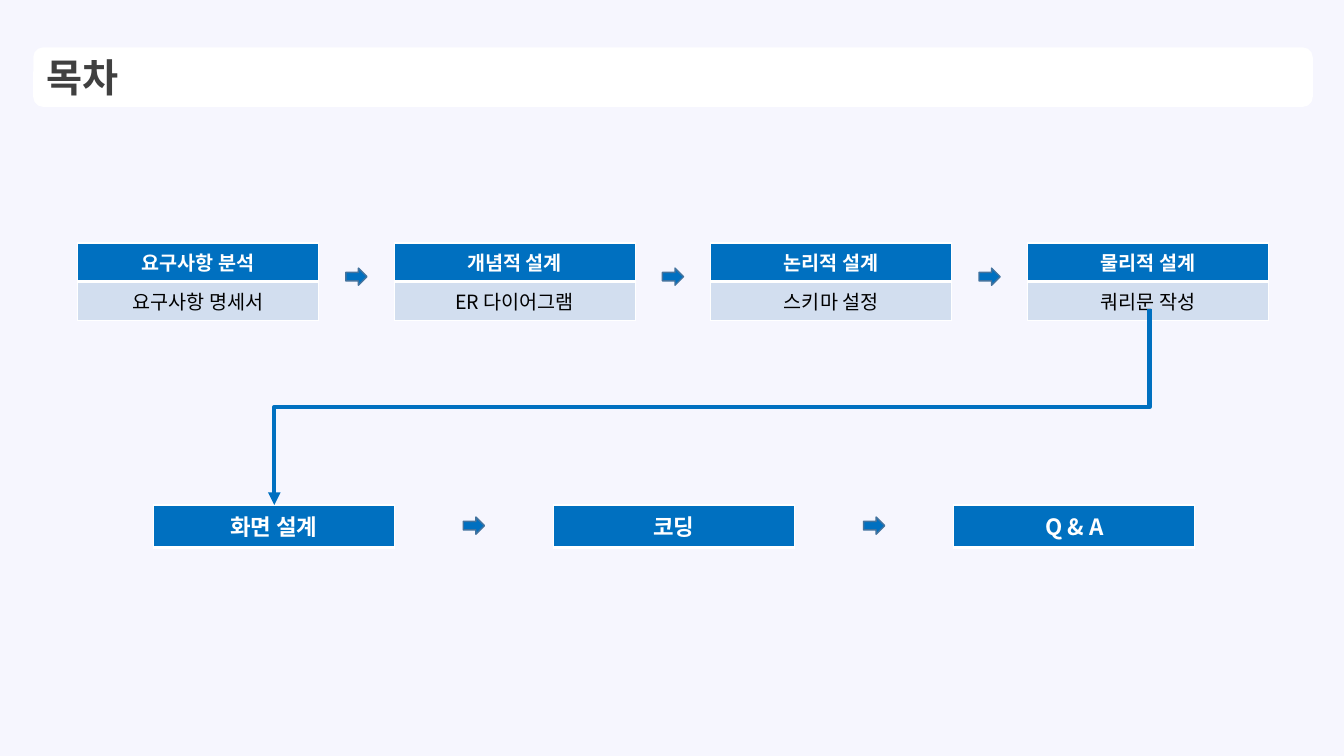
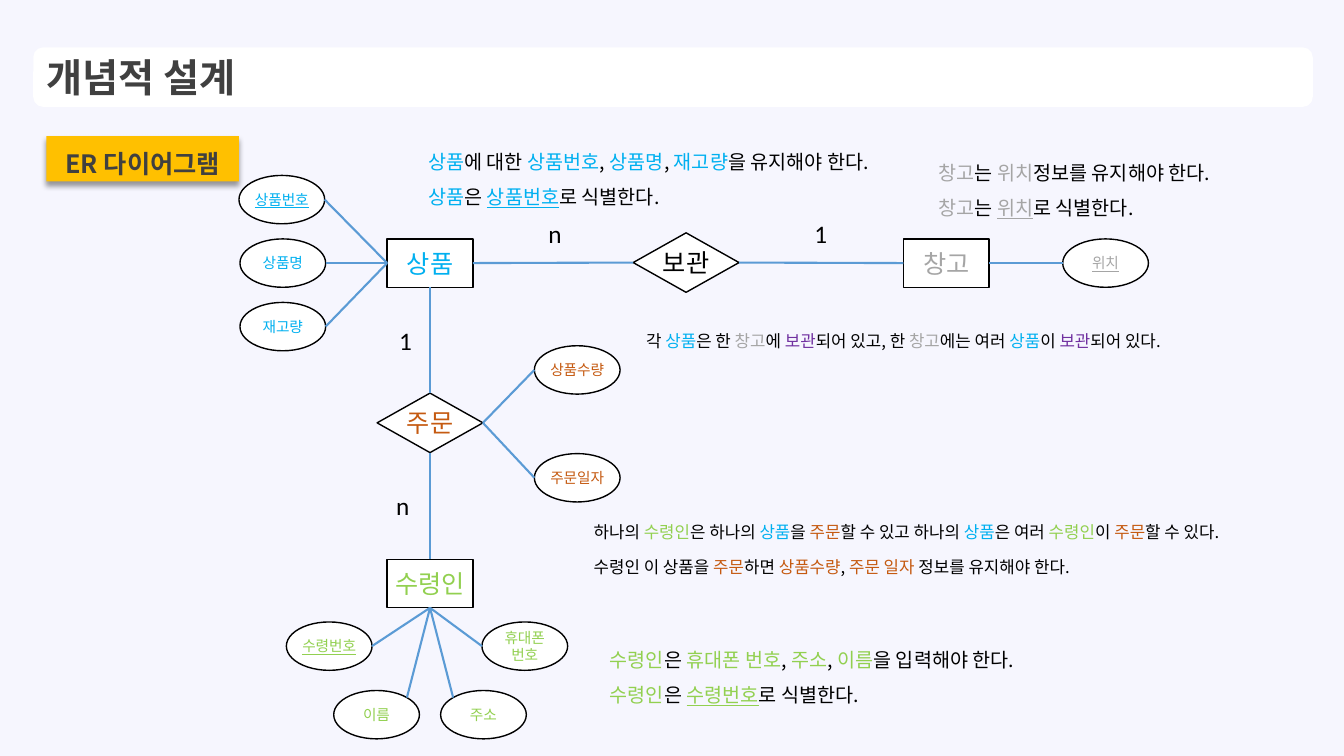
import lxml.etree
import pptx
import pptx.dml.color
import pptx.enum.shapes
import pptx.enum.text
import pptx.oxml
import pptx.oxml.ns
import pptx.util

Inches = pptx.util.Inches
Pt = pptx.util.Pt
SHAPE = pptx.enum.shapes.MSO_SHAPE
CONNECTOR = pptx.enum.shapes.MSO_CONNECTOR
ANCHOR = pptx.enum.text.MSO_ANCHOR
ALIGN = pptx.enum.text.PP_ALIGN
qn = pptx.oxml.ns.qn

KOREAN, LATIN = "Noto Sans CJK KR", "Calibri"
BACKGROUND, WHITE, BLACK, DARK = "F6F6FE", "FFFFFF", "000000", "404040"
BLUE, PALE_BLUE, ARROW_EDGE, LINK = "0070C0", "D2DEEF", "43739E", "5B9BD5"
AMBER = "FFC000"

TERM_GROUPS = {
    "00B0F0": ["상품", "상품번호", "상품명", "재고량"],
    "A5A5A5": ["창고", "위치"],
    "7030A0": ["보관"],
    "C55A11": ["주문", "상품수량", "주문일자", "주문 일자"],
    "92D050": ["수령인", "수령번호", "휴대폰 번호", "주소", "이름"],
}
TERM_COLOURS = {term: colour for colour, terms in TERM_GROUPS.items() for term in terms}

BOX_WIDTH = 2.39
STEPS = [["요구사항 분석", "요구사항 명세서"], ["개념적 설계", "ER 다이어그램"],
         ["논리적 설계", "스키마 설정"], ["물리적 설계", "쿼리문 작성"]]
LAST_STEPS = [["화면 설계"], ["코딩"], ["Q & A"]]

NODE_SIZES = {SHAPE.RECTANGLE: (0.85, 0.48, 18), SHAPE.OVAL: (0.85, 0.48, 10.5),
              SHAPE.DIAMOND: (1.05, 0.59, 18)}
SITES = {"left": (0, 0.5), "right": (1, 0.5), "top": (0.5, 0), "bottom": (0.5, 1),
         "top left": (0.146, 0.146), "top right": (0.854, 0.146)}

# Label, kind, left, top
NODES = [
    ("상품", SHAPE.RECTANGLE, 3.84, 2.37), ("창고", SHAPE.RECTANGLE, 8.96, 2.37),
    ("수령인", SHAPE.RECTANGLE, 3.84, 5.55), ("상품번호", SHAPE.OVAL, 2.37, 1.74),
    ("상품명", SHAPE.OVAL, 2.38, 2.37), ("재고량", SHAPE.OVAL, 2.38, 3),
    ("위치", SHAPE.OVAL, 10.54, 2.37), ("보관", SHAPE.DIAMOND, 6.28, 2.31),
    ("주문", SHAPE.DIAMOND, 3.74, 3.9), ("상품수량", SHAPE.OVAL, 5.3, 3.43),
    ("주문일자", SHAPE.OVAL, 5.3, 4.5), ("수령번호", SHAPE.OVAL, 2.84, 6.17),
    ("휴대폰\n번호", SHAPE.OVAL, 4.78, 6.17), ("주소", SHAPE.OVAL, 4.37, 6.85),
    ("이름", SHAPE.OVAL, 3.31, 6.85),
]
KEYS = {"상품번호", "위치", "수령번호"}
LINKS = [
    ("상품번호", "right", "상품", "left"), ("상품명", "right", "상품", "left"),
    ("재고량", "right", "상품", "left"), ("상품", "right", "보관", "left"),
    ("보관", "right", "창고", "left"), ("창고", "right", "위치", "left"),
    ("주문", "top", "상품", "bottom"), ("수령인", "top", "주문", "bottom"),
    ("주문", "right", "상품수량", "left"), ("주문", "right", "주문일자", "left"),
    ("수령번호", "right", "수령인", "bottom"), ("이름", "top right", "수령인", "bottom"),
    ("주소", "top left", "수령인", "bottom"), ("휴대폰\n번호", "left", "수령인", "bottom"),
]
CARDINALITIES = [("1", 3.86, 3.18), ("n", 3.83, 4.82), ("1", 7.98, 2.12), ("n", 5.34, 2.12)]

# Place, size, line spacing, lines; [term] takes its colour, [_term] is also underlined
NOTES = [
    ((5.95, 6.26, 4.59, 0.77), 14, 1.5,
     ["[수령인]은 [휴대폰 번호], [주소], [이름]을 입력해야 한다.",
      "[수령인]은 [_수령번호]로 식별한다."]),
    ((4.15, 1.32, 5, 0.76), 14, 1.5,
     ["[상품]에 대한 [상품번호], [상품명], [재고량]을 유지해야 한다.",
      "[상품]은 [_상품번호]로 식별한다."]),
    ((5.79, 4.98, 7.14, 0.75), 12, Pt(25),
     ["하나의 [수령인]은 하나의 [상품]을 [주문]할 수 있고 하나의 [상품]은 여러 [수령인]이 [주문]할 수 있다.",
      "수령인 이 상품을 [주문]하면 [상품수량], [주문 일자] 정보를 유지해야 한다."]),
    ((9.21, 1.43, 3.19, 0.77), 14, Pt(25),
     ["[창고]는 [위치]정보를 유지해야 한다.", "[창고]는 [_위치]로 식별한다."]),
    ((6.31, 3.08, 5.91, 0.41), 12, Pt(25),
     ["각 [상품]은 한 [창고]에 [보관]되어 있고, 한 [창고]에는 여러 [상품]이 [보관]되어 있다."]),
]


def rgb(colour):
    """Turn a hex string into a colour value."""
    return pptx.dml.color.RGBColor.from_string(colour)


def style(para, size, colour, name=KOREAN, bold=False, underline=False, align=ALIGN.CENTER):
    """Set the alignment and the font of a whole paragraph."""
    para.alignment = align
    font = para.font
    font.size, font.name, font.bold = Pt(size), name, bold
    font.underline = underline
    font.color.rgb = rgb(colour)
    properties = para._p.get_or_add_pPr().find(qn("a:defRPr"))
    lxml.etree.SubElement(properties, qn("a:ea")).set("typeface", KOREAN)


def add_box(page, kind, place, fill, text="", line=None, margins=None, **font):
    """Add a filled preset shape with text set in the middle."""
    box = page.shapes.add_shape(kind, *map(Inches, place))
    box.shadow.inherit = False
    box.fill.solid()
    box.fill.fore_color.rgb = rgb(fill)
    if line:
        box.line.color.rgb = rgb(line)
        box.line.width = Pt(1)
    else:
        box.line.fill.background()
    frame = box.text_frame
    frame.vertical_anchor = ANCHOR.MIDDLE
    if margins:
        (frame.margin_left, frame.margin_top,
         frame.margin_right, frame.margin_bottom) = map(Inches, margins)
    if text:
        frame.text = text
        for para in frame.paragraphs:
            style(para, **font)
    return box


def add_page(deck):
    """Add a blank page with the shared background."""
    page = deck.slides.add_slide(deck.slide_layouts[6])
    page.background.fill.solid()
    page.background.fill.fore_color.rgb = rgb(BACKGROUND)
    return page


def add_title(page, text):
    """Add the white title band."""
    add_box(page, SHAPE.ROUNDED_RECTANGLE, (0.33, 0.47, 12.69, 0.59), WHITE, text,
            size=28, colour=DARK, bold=True, align=ALIGN.LEFT)


def add_border(cell, side, width):
    """Draw one white edge of a table cell."""
    edge = pptx.oxml.parse_xml(
        f'<a:{side} {pptx.oxml.ns.nsdecls("a")} w="{Pt(width)}"><a:solidFill>'
        f'<a:srgbClr val="{WHITE}"/></a:solidFill></a:{side}>')
    properties = cell._tc.get_or_add_tcPr()
    properties.insert(["lnL", "lnR", "lnT", "lnB"].index(side), edge)


def add_step(page, left, top, height, texts, size):
    """Add a one-column table: a blue heading and an optional pale row."""
    table = page.shapes.add_table(len(texts), 1, Inches(left), Inches(top),
                                  Inches(BOX_WIDTH), Inches(height)).table
    for row, text in enumerate(texts):
        cell = table.cell(row, 0)
        heading = row == 0
        cell.text = text
        style(cell.text_frame.paragraphs[0], size, WHITE if heading else BLACK, bold=heading)
        cell.fill.solid()
        cell.fill.fore_color.rgb = rgb(BLUE if heading else PALE_BLUE)
        for side in ("lnL", "lnR", "lnT", "lnB"):
            thick = (side == "lnB") if heading else (side == "lnT")
            add_border(cell, side, 3 if thick else 1)


def add_step_row(page, steps, left, pitch, top, height, size, arrow_top):
    """Add equally spaced steps with an arrow in the middle of each gap."""
    width = 0.21
    for index, texts in enumerate(steps):
        start = left + index * pitch
        add_step(page, start, top, height, texts, size)
        if index:
            middle = start - (pitch - BOX_WIDTH) / 2
            add_box(page, SHAPE.RIGHT_ARROW, (middle - width / 2, arrow_top, width, 0.17),
                    BLUE, line=ARROW_EDGE)


def add_line(page, kind, begin, end, colour, width):
    """Add a connector without a shadow."""
    line = page.shapes.add_connector(kind, *map(Inches, (*begin, *end)))
    line.line.color.rgb = rgb(colour)
    line.line.width = Pt(width)
    lxml.etree.SubElement(line._element.spPr, qn("a:effectLst"))
    return line


def add_return_arrow(page, begin, end):
    """Add an elbow arrow that goes down, across and down again."""
    middle_x, middle_y = (begin[0] + end[0]) / 2, (begin[1] + end[1]) / 2
    half_drop, half_run = (end[1] - begin[1]) / 2, (begin[0] - end[0]) / 2
    arrow = add_line(page, CONNECTOR.ELBOW, (middle_x - half_drop, middle_y - half_run),
                     (middle_x + half_drop, middle_y + half_run), BLUE, 3)
    arrow._element.spPr.find(qn("a:xfrm")).set("rot", str(90 * 60000))
    outline = arrow.line._get_or_add_ln()
    lxml.etree.SubElement(outline, qn("a:tailEnd")).set("type", "triangle")


def add_node(page, label, kind, left, top):
    """Add an entity, relation or attribute and return its place."""
    width, height, size = NODE_SIZES[kind]
    place = (left, top, width, height)
    colour = BLACK if label == "보관" else TERM_COLOURS[label.replace("\n", " ")]
    add_box(page, kind, place, WHITE, label, BLACK, (0, 0, 0, 0), size=size, colour=colour,
            name=KOREAN if label == "수령인" else LATIN, underline=label in KEYS)
    return place


def site(place, side):
    """Return the point where a link meets a node."""
    left, top, width, height = place
    across, down = SITES[side]
    return left + across * width, top + down * height


def add_text_box(page, place, wrap=True):
    """Add a text box that grows with its text and return its frame."""
    frame = page.shapes.add_textbox(*map(Inches, place)).text_frame
    frame.word_wrap = wrap
    frame.auto_size = pptx.enum.text.MSO_AUTO_SIZE.SHAPE_TO_FIT_TEXT
    return frame


def add_span(para, text):
    """Add a run if there is text, and return it."""
    span = para.add_run()
    span.text = text
    return span


def add_note(page, place, size, spacing, lines):
    """Add sentences whose bracketed terms are coloured."""
    frame = add_text_box(page, place)
    for index, line in enumerate(lines):
        para = frame.add_paragraph() if index else frame.paragraphs[0]
        style(para, size, BLACK, align=ALIGN.LEFT)
        para.line_spacing = spacing
        opening, *pieces = line.split("[")
        if opening:
            add_span(para, opening)
        for piece in pieces:
            marked, _, plain = piece.partition("]")
            term = marked.lstrip("_")
            span = add_span(para, term)
            span.font.color.rgb = rgb(TERM_COLOURS[term])
            if marked != term:
                span.font.underline = True
            add_span(para, plain)


def add_badge(page, text):
    """Add the amber section label with its soft shadow."""
    badge = add_box(page, SHAPE.RECTANGLE, (0.46, 1.35, 1.91, 0.45), AMBER, text,
                    margins=(0, 0, 0, 0.05), size=18, colour=DARK, bold=True)
    badge.text_frame.paragraphs[0].line_spacing = 1.5
    effects = badge._element.spPr.find(qn("a:effectLst"))
    effects.append(pptx.oxml.parse_xml(
        f'<a:outerShdw {pptx.oxml.ns.nsdecls("a")} blurRad="{Pt(4)}" dist="{Pt(3)}" '
        f'dir="5400000" algn="t" rotWithShape="0"><a:srgbClr val="{BLACK}">'
        '<a:alpha val="40000"/></a:srgbClr></a:outerShdw>'))


def build_contents(deck):
    """Build the contents page."""
    page = add_page(deck)
    add_step_row(page, STEPS, 0.77, 3.14, 2.41, 0.67, 14, 2.66)
    add_step_row(page, LAST_STEPS, 1.52, 3.97, 5.01, 0.4, 16, 5.13)
    add_return_arrow(page, (11.4, 3.07), (2.72, 5.01))
    add_title(page, "목차")


def build_diagram(deck):
    """Build the entity relationship page."""
    page = add_page(deck)
    places = {node[0]: add_node(page, *node) for node in NODES}
    for first, first_side, second, second_side in LINKS:
        add_line(page, CONNECTOR.STRAIGHT, site(places[first], first_side),
                 site(places[second], second_side), LINK, 1.5)
    for note in NOTES:
        add_note(page, *note)
    for text, left, top in CARDINALITIES:
        para = add_text_box(page, (left, top, 0.33, 0.4), wrap=False).paragraphs[0]
        para.text = text
        style(para, 18, BLACK, LATIN, align=ALIGN.LEFT)
    add_badge(page, "ER 다이어그램")
    add_title(page, "개념적 설계")


def main():
    """Build and save the deck."""
    deck = pptx.Presentation()
    deck.slide_width, deck.slide_height = Inches(13.33), Inches(7.5)
    build_contents(deck)
    build_diagram(deck)
    deck.save("out.pptx")


main()
